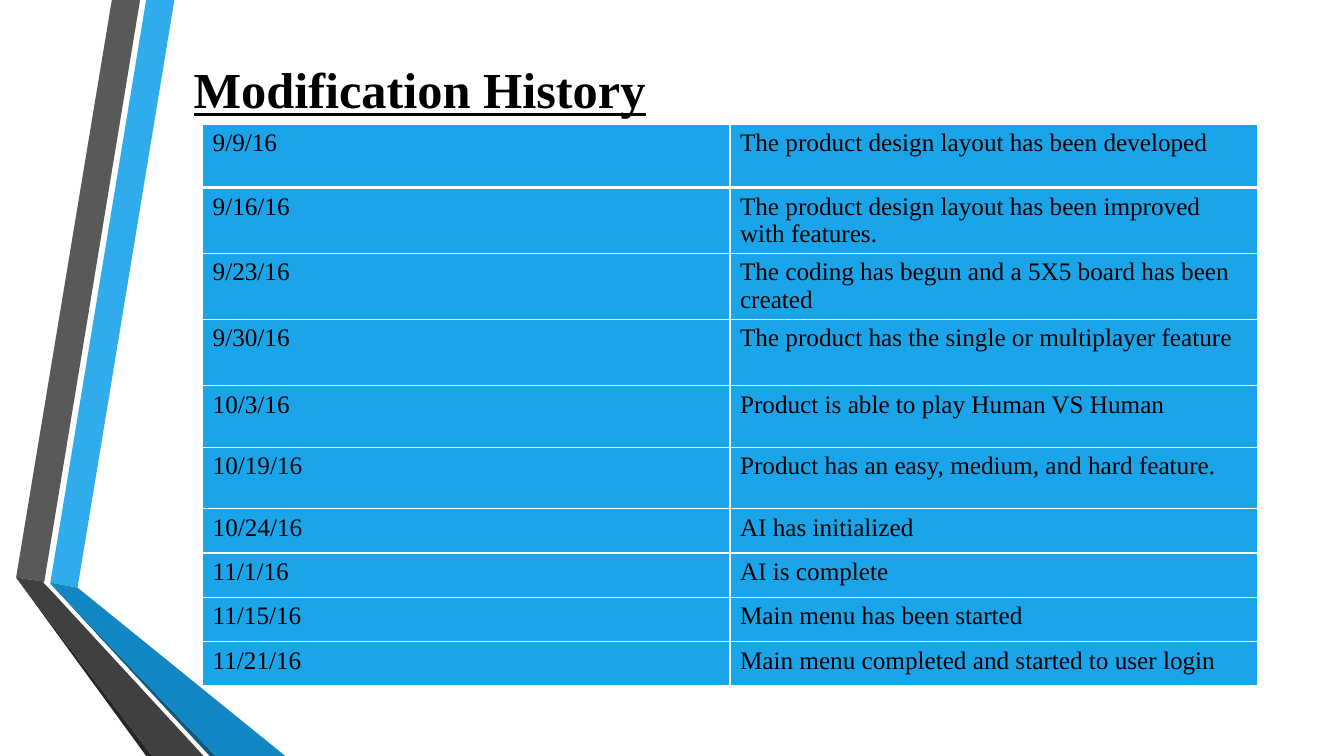
import pptx
import pptx.util
import pptx.dml.color
import pptx.enum.text
import pptx.oxml.ns
import lxml.etree

PX = 9144  # 100 px to the inch
FONT = "Times New Roman"
COLORS = {
    "sky": "30ACEC", "gray": "595959", "black": "262626", "navy": "0C5A82",
    "blue": "1287C3", "dark": "404040", "cell": "1AA5EA",
    "line": "FFFFFF", "text": "000000",
}


def rgb(name):
    return pptx.dml.color.RGBColor.from_string(COLORS[name])


def write(par, text, size):
    run = par.add_run()
    run.text = text
    run.font.name = FONT
    run.font.size = pptx.util.Pt(size)
    run.font.color.rgb = rgb("text")
    return run


deck = pptx.Presentation()
deck.slide_width = 1333 * PX
deck.slide_height = 750 * PX
slide = deck.slides.add_slide(deck.slide_layouts[5])

# Folded ribbons on the left
bands = [
    ("sky", [(50, 578), (77, 583), (173, 0), (145, 0)]),
    ("gray", [(139, 0), (111, 0), (16, 573), (44, 577)]),
    ("black", [(16, 573), (145, 750), (151, 750)]),
    ("navy", [(50, 579), (208, 750), (214, 750)]),
    ("blue", [(50, 579), (214, 750), (283, 750), (77, 583), (50, 578)]),
    ("dark", [(202, 750), (48, 583), (43, 578), (44, 577), (16, 573), (151, 750)]),
]
for color, points in bands:
    path = slide.shapes.build_freeform(*points[0], scale=PX)
    path.add_line_segments(points[1:], close=True)
    band = path.convert_to_shape()
    band.shadow.inherit = False
    band.fill.solid()
    band.fill.fore_color.rgb = rgb(color)
    band.line.fill.background()

# Title
title = slide.shapes.title
title.left, title.top, title.width, title.height = [n * PX for n in (182, 52, 997, 71)]
frame = title.text_frame
frame.word_wrap = True
frame.auto_size = pptx.enum.text.MSO_AUTO_SIZE.NONE
frame.vertical_anchor = pptx.enum.text.MSO_ANCHOR.BOTTOM
head = frame.paragraphs[0]
head.alignment = pptx.enum.text.PP_ALIGN.LEFT
run = write(head, "Modification History", 36)
run.font.bold = True
run.font.underline = True

# History table: height, date, change
rows = [
    (63, "9/9/16", "The product design layout has been developed"),
    (62, "9/16/16", "The product design layout has been improved with features."),
    (63, "9/23/16", "The coding has begun and a 5X5 board has been created"),
    (66, "9/30/16", "The product has the single or multiplayer feature"),
    (61, "10/3/16", "Product is able to play Human VS Human"),
    (61, "10/19/16", "Product has an easy, medium, and hard feature."),
    (44, "10/24/16", "AI has initialized"),
    (44, "11/1/16", "AI is complete"),
    (44, "11/15/16", "Main menu has been started"),
    (44, "11/21/16", "Main menu completed and started to user login"),
]
high = sum(row[0] for row in rows)
table = slide.shapes.add_table(
    len(rows), 2, 201 * PX, 123 * PX, 1046 * PX, high * PX).table
table.first_row = False
table.horz_banding = False
for col in table.columns:
    col.width = 523 * PX

for i, (tall, *texts) in enumerate(rows):
    table.rows[i].height = tall * PX
    for j, text in enumerate(texts):
        cell = table.cell(i, j)
        par = cell.text_frame.paragraphs[0]
        write(par, text, 18)
        if i > 2 and j == 1:
            par.space_after = pptx.util.Pt(10)

        # Borders go before the fill; the first row has a thick rule below
        props = cell._tc.get_or_add_tcPr()
        for side in ("lnL", "lnR", "lnT", "lnB"):
            thick = (i, side) in ((0, "lnB"), (1, "lnT"))
            width = pptx.util.Pt(3 if thick else 1)
            edge = lxml.etree.SubElement(
                props, pptx.oxml.ns.qn("a:" + side), w=str(int(width)))
            fill = lxml.etree.SubElement(edge, pptx.oxml.ns.qn("a:solidFill"))
            lxml.etree.SubElement(
                fill, pptx.oxml.ns.qn("a:srgbClr"), val=COLORS["line"])
        cell.fill.solid()
        cell.fill.fore_color.rgb = rgb("cell")

deck.save("out.pptx")
